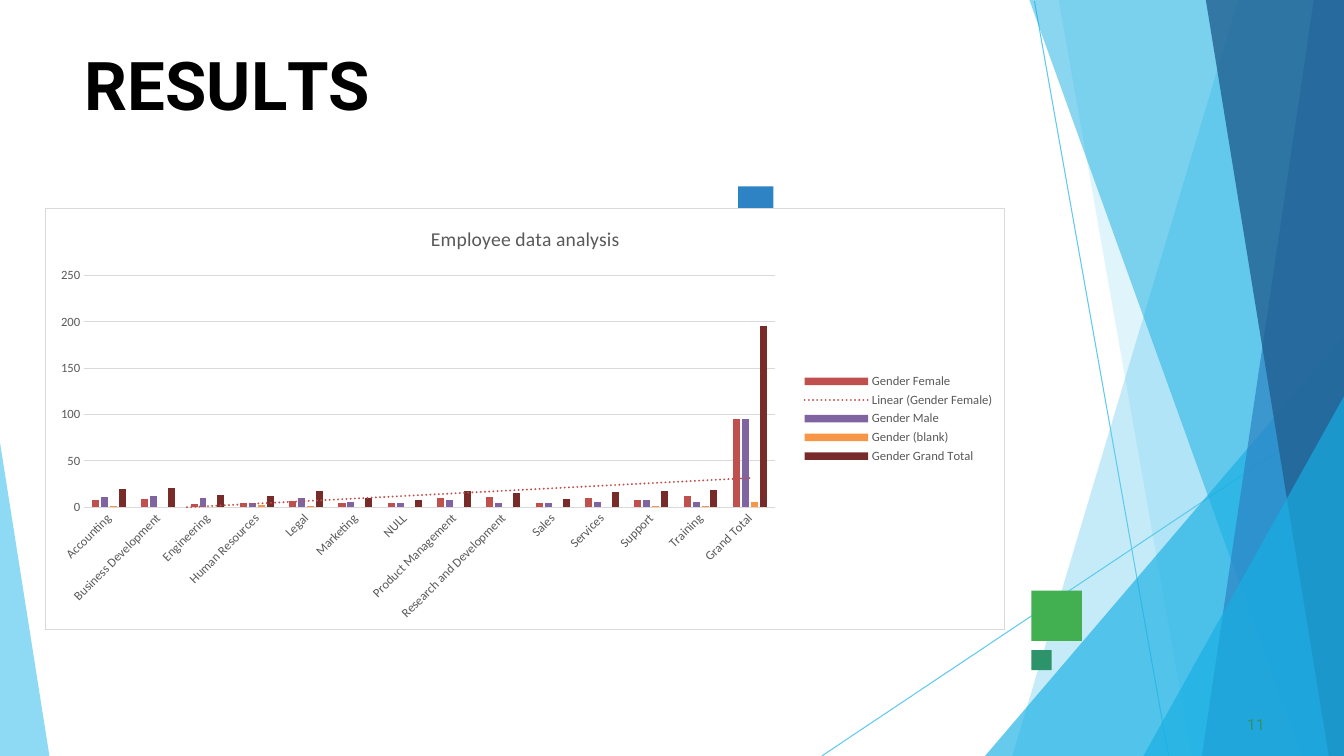
from lxml import etree
from pptx import Presentation
from pptx.chart.data import CategoryChartData
from pptx.dml.color import RGBColor
from pptx.enum.chart import XL_CHART_TYPE, XL_LEGEND_POSITION, XL_TICK_MARK
from pptx.enum.shapes import MSO_CONNECTOR, MSO_SHAPE
from pptx.oxml import parse_xml
from pptx.oxml.ns import nsdecls, qn
from pptx.util import Inches, Pt

COLUMNS = XL_CHART_TYPE.COLUMN_CLUSTERED
LEGEND_RIGHT = XL_LEGEND_POSITION.RIGHT
NO_TICK = XL_TICK_MARK.NONE
STRAIGHT = MSO_CONNECTOR.STRAIGHT
RECTANGLE = MSO_SHAPE.RECTANGLE

# Content
WIDTH, HEIGHT = 13.33, 7.5
CHART_TITLE = "Employee data analysis"
DEPARTMENTS = [
    "Accounting", "Business Development", "Engineering", "Human Resources", "Legal",
    "Marketing", "NULL", "Product Management", "Research and Development", "Sales",
    "Services", "Support", "Training", "Grand Total",
]
SERIES = [
    ("Gender Female", "C0504D", [8, 9, 3, 5, 7, 4, 4, 10, 11, 4, 10, 8, 12, 95]),
    ("Gender Male", "8064A2", [11, 12, 10, 5, 10, 6, 4, 8, 4, 5, 6, 8, 6, 95]),
    ("Gender (blank)", "F79646",
     [1, None, None, 2, 1, None, None, None, None, None, None, 1, 1, 6]),
    ("Gender Grand Total", "772C2A",
     [20, 21, 13, 12, 18, 10, 8, 18, 15, 9, 16, 17, 19, 196]),
]
CHART_BOX = (0.45, 2.06, 9.52, 4.19)
PLOT_AREA = {"x": 0.04, "y": 0.16, "w": 0.72, "h": 0.55}

# Text boxes: box, space before, first-line margin, style, (letters, spacing in points)
TEXTS = [
    ((0.83, 0.42, 3.08, 0.81), 1.1, 0.01, "title",
     [("R", 0), ("E", -0.4), ("S", 0.1), ("U", -0.3), ("L", -4), ("TS", 0)]),
    ((12.33, 7.08, 0.25, 0.21), 0.6, 0.04, "number", [("11", 0.1)]),
]

THEME = {
    "sky": "5FCAEE", "cyan": "17AFE3", "blue": "2D83C3", "navy": "226192",
    "green": "42AF51", "teal": "2D936B", "white": "FFFFFF",
    "grid": "D9D9D9", "label": "595959", "hairline": 0.75, "trend_width": 1.5,
    "title": {"name": "Roboto", "size": 48, "color": "000000", "bold": True},
    "number": {"name": "Roboto", "size": 11, "color": "2D936B", "bold": False},
    "chart": {"name": "Calibri", "size": 10, "color": "000000", "bold": False},
    "chart_title": {"name": "Calibri", "size": 14, "color": "595959", "bold": False},
    "chart_label": {"name": "Calibri", "size": 9, "color": "595959", "bold": False},
}

# Backdrop: lines by end points, facets by corners
LINES = [(10.26, 0.01, 11.59, HEIGHT), (WIDTH, 4.04, 8.15, HEIGHT)]


def band(top, bottom):
    """Corners of a facet running from the top edge to the right-hand edge."""
    return [(WIDTH, 0), (top, 0), (bottom, HEIGHT), (WIDTH, HEIGHT)]


def wedge(top, left):
    """Corners of a triangle in the lower right corner."""
    return [(WIDTH, top), (left, HEIGHT), (WIDTH, HEIGHT)]


FACETS = [
    (band(12.28, 10.04), "sky", 36),
    (band(10.5, 11.82), "sky", 20),
    (wedge(3.33, 9.77), "cyan", 66),
    (band(10.21, 12.91), "cyan", 50),
    (band(13.03, 11.92), "blue", 70),
    (band(11.96, 13.18), "navy", 80),
    (wedge(3.93, 11.34), "cyan", 66),
    ([(0, 4.39), (0, HEIGHT), (0.49, HEIGHT)], "sky", 70),
]
SQUARES = [(10.23, 5.86, 0.5, "green"), (7.32, 1.85, 0.35, "blue"), (10.23, 6.45, 0.2, "teal")]


def rgb(key):
    return RGBColor.from_string(THEME.get(key, key))


def style_font(font, style):
    for name, value in THEME[style].items():
        if name == "color":
            font.color.rgb = rgb(value)
        else:
            setattr(font, name, Pt(value) if name == "size" else value)


def paint(shape, color):
    shape.shadow.inherit = False
    shape.fill.solid()
    shape.fill.fore_color.rgb = rgb(color)
    shape.line.fill.background()


def style_line(line, color, width):
    line.color.rgb = rgb(color)
    line.width = Pt(width)


deck = Presentation()
deck.slide_width, deck.slide_height = Inches(WIDTH), Inches(HEIGHT)
page = deck.slides.add_slide(deck.slide_layouts[6])

# Backdrop
for ends in LINES:
    connector = page.shapes.add_connector(STRAIGHT, *map(Inches, ends))
    style_line(connector.line, "sky", THEME["hairline"])
    etree.SubElement(connector._element.spPr, qn("a:effectLst"))

for corners, color, opacity in FACETS:
    start, *others = [(Inches(x), Inches(y)) for x, y in corners]
    builder = page.shapes.build_freeform(*start)
    builder.add_line_segments(others, close=True)
    facet = builder.convert_to_shape()
    paint(facet, color)
    tint = facet._element.spPr.find(qn("a:solidFill"))[0]
    etree.SubElement(tint, qn("a:alpha")).set("val", str(opacity * 1000))

for left, top, side, color in SQUARES:
    paint(page.shapes.add_shape(RECTANGLE, *map(Inches, (left, top, side, side))), color)

# Title and page number
for place, space_before, margin, style, pieces in TEXTS:
    box = page.shapes.add_textbox(*map(Inches, place))
    frame = box.text_frame
    frame.word_wrap = True
    insets = {"margin_left": margin, "margin_top": 0.01, "margin_right": 0, "margin_bottom": 0}
    for name, value in insets.items():
        setattr(frame, name, Inches(value))
    para = frame.paragraphs[0]
    para.space_before = Pt(space_before)
    for letters, spacing in pieces:
        span = para.add_run()
        span.text = letters
        style_font(span.font, style)
        span._r.get_or_add_rPr().set("spc", str(round(spacing * 100)))

# Chart
data = CategoryChartData()
data.categories = DEPARTMENTS
for name, _, values in SERIES:
    data.add_series(name, values)
chart = page.shapes.add_chart(COLUMNS, *map(Inches, CHART_BOX), data).chart
style_font(chart.font, "chart")

chart.has_title = True
chart.chart_title.include_in_layout = False
heading = chart.chart_title.text_frame.paragraphs[0].add_run()
heading.text = CHART_TITLE
style_font(heading.font, "chart_title")

chart.has_legend = True
chart.legend.position = LEGEND_RIGHT
chart.legend.include_in_layout = False
style_font(chart.legend.font, "chart_label")

plot = chart.plots[0]
plot.gap_width, plot.overlap, plot.vary_by_categories = 219, -27, False
for series, (_, color, _) in zip(plot.series, SERIES):
    series.format.fill.solid()
    series.format.fill.fore_color.rgb = rgb(color)
    series.invert_if_negative = False

# Axes
departments, counts = chart.category_axis, chart.value_axis
for axis in (departments, counts):
    axis.major_tick_mark = axis.minor_tick_mark = NO_TICK
    style_font(axis.tick_labels.font, "chart_label")
departments._element.find(qn("c:txPr")).find(qn("a:bodyPr")).set("rot", "-2700000")
style_line(departments.format.line, "grid", THEME["hairline"])
counts.format.line.fill.background()
counts.minimum_scale, counts.maximum_scale, counts.major_unit = 0, 250, 50
counts.has_major_gridlines = True
style_line(counts.major_gridlines.format.line, "grid", THEME["hairline"])

# Trend line of the first series
trend = parse_xml(
    f'<c:trendline {nsdecls("c", "a")}><c:spPr><a:ln w="{Pt(THEME["trend_width"])}" cap="rnd">'
    f'<a:solidFill><a:srgbClr val="{SERIES[0][1]}"/></a:solidFill><a:prstDash val="sysDot"/>'
    '</a:ln></c:spPr><c:trendlineType val="linear"/><c:dispRSqr val="0"/>'
    '<c:dispEq val="0"/></c:trendline>')
plot.series[0]._element.find(qn("c:cat")).addprevious(trend)

# Chart frame and plot position
chart_element = chart._chartSpace.find(qn("c:chart"))
chart_element.addnext(parse_xml(
    f'<c:spPr {nsdecls("c", "a")}><a:solidFill><a:srgbClr val="{THEME["white"]}"/></a:solidFill>'
    f'<a:ln w="{Pt(THEME["hairline"])}"><a:solidFill><a:srgbClr val="{THEME["grid"]}"/>'
    '</a:solidFill></a:ln></c:spPr>'))
plot_area = chart_element.find(qn("c:plotArea"))
for layout in plot_area.findall(qn("c:layout")):
    plot_area.remove(layout)
modes = '<c:xMode val="edge"/><c:yMode val="edge"/>'
sizes = "".join(f'<c:{key} val="{value}"/>' for key, value in PLOT_AREA.items())
plot_area.insert(0, parse_xml(
    f'<c:layout {nsdecls("c")}><c:manualLayout><c:layoutTarget val="inner"/>'
    f'{modes}{sizes}</c:manualLayout></c:layout>'))

deck.save("out.pptx")
